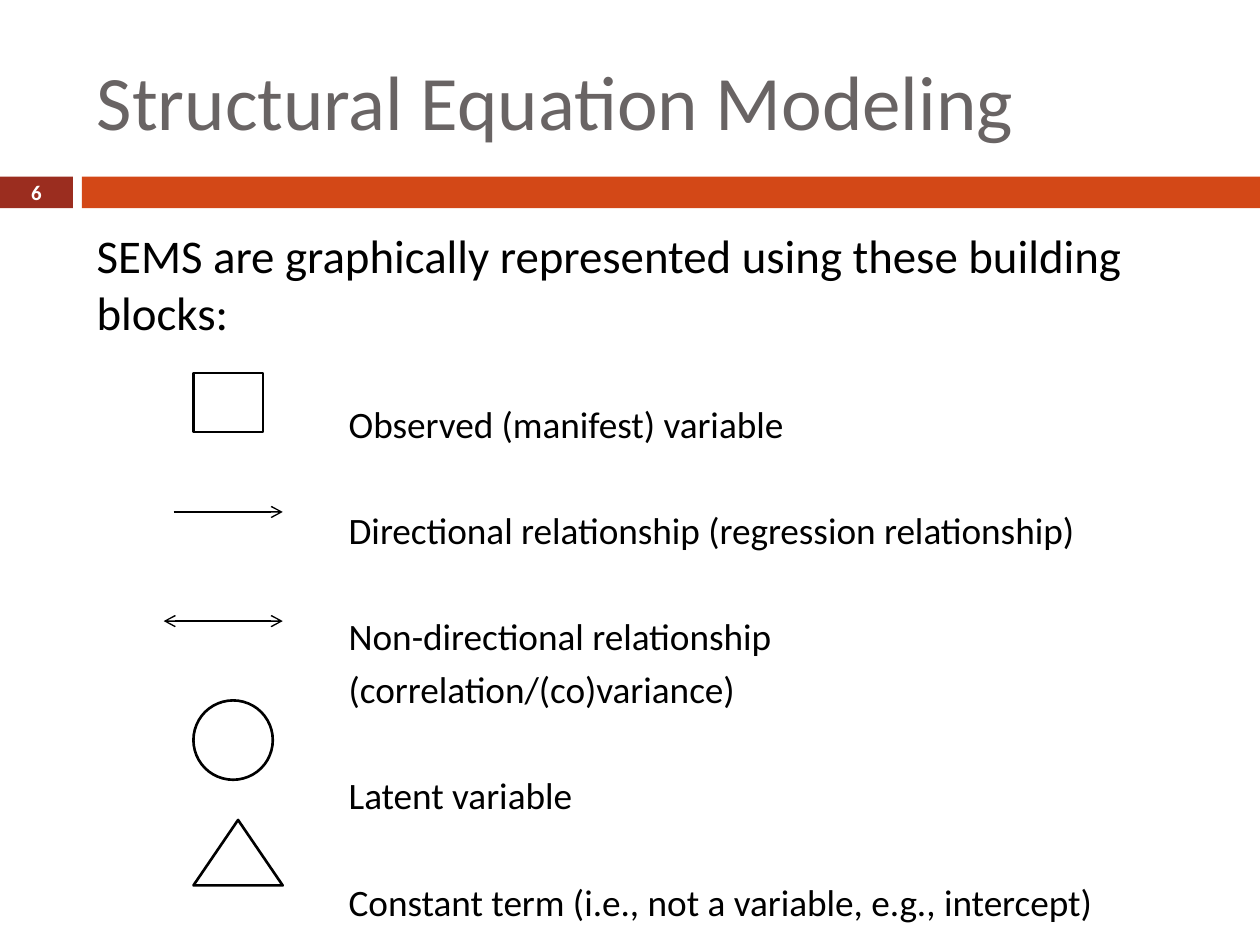
from lxml.etree import SubElement
from pptx import Presentation
from pptx.dml.color import RGBColor
from pptx.enum.shapes import MSO_CONNECTOR, MSO_SHAPE
from pptx.enum.text import MSO_ANCHOR, PP_ALIGN
from pptx.oxml.ns import qn
from pptx.util import Cm, Pt

BLACK, WHITE = "000000", "FFFFFF"
LABEL_INDENT = Cm(5.08)
ENTRY_GAP, LINE_GAP = 35.2, 4.6

LABELS = [
    ("Observed (manifest) variable", ENTRY_GAP),
    ("Directional relationship (regression relationship)", ENTRY_GAP),
    ("Non-directional relationship", ENTRY_GAP),
    ("(correlation/(co)variance)", LINE_GAP),
    ("Latent variable", ENTRY_GAP),
    ("Constant term (i.e., not a variable, e.g., intercept)", ENTRY_GAP),
]
SYMBOLS = [
    (MSO_SHAPE.RECTANGLE, 7.52, 1.4, 1.19),
    (MSO_SHAPE.OVAL, 14.12, 1.6, 1.6),
    (MSO_SHAPE.ISOSCELES_TRIANGLE, 16.53, 1.8, 1.32),
]
ARROWS = [
    (3.5, 10.32, ("tailEnd",)),
    (3.3, 12.52, ("headEnd", "tailEnd")),
]


def color(hex_string):
    return RGBColor.from_string(hex_string)


def apply_format(target, values):
    for name, value in values.items():
        setattr(target, name, value)


def add_box(slide, kind, left, top, width, height, fill, outline=None):
    shape = slide.shapes.add_shape(kind, Cm(left), Cm(top), Cm(width), Cm(height))
    shape.shadow.inherit = False
    shape.fill.solid()
    shape.fill.fore_color.rgb = color(fill)
    if outline:
        shape.line.color.rgb = color(outline)
        shape.line.width = Pt(1.5)
    else:
        shape.line.fill.background()


def add_arrow(slide, left, right, y, ends):
    """Draw a horizontal line with open arrowheads at the named ends."""
    connector = slide.shapes.add_connector(
        MSO_CONNECTOR.STRAIGHT, Cm(left), Cm(y), Cm(right), Cm(y))
    connector.line.color.rgb = color(BLACK)
    connector.line.width = Pt(0.79)
    line = connector.line._get_or_add_ln()
    for end in ends:
        SubElement(line, qn(f"a:{end}"), type="arrow")
    SubElement(connector._element.spPr, qn("a:effectLst"))


def add_text_frame(slide, left, top, width, height, anchor=MSO_ANCHOR.TOP):
    text_box = slide.shapes.add_textbox(Cm(left), Cm(top), Cm(width), Cm(height))
    apply_format(text_box.text_frame, {"word_wrap": True, "vertical_anchor": anchor})
    return text_box.text_frame


def write(paragraph, text, size, text_color, bold=False, **paragraph_format):
    run = paragraph.add_run()
    run.text = text
    apply_format(run.font, {"name": "Calibri", "size": Pt(size), "bold": bold})
    run.font.color.rgb = color(text_color)
    apply_format(paragraph, paragraph_format)


def add_header(slide):
    title = add_text_frame(slide, 1.7, 0.64, 22.66, 2.74, MSO_ANCHOR.MIDDLE)
    write(title.paragraphs[0], "Structural Equation Modeling", 44, "696464")
    add_box(slide, MSO_SHAPE.RECTANGLE, 0, 3.56, 1.47, 0.64, "9B2D1F")
    add_box(slide, MSO_SHAPE.RECTANGLE, 1.65, 3.56, 23.75, 0.64, "D34817")
    number = add_text_frame(slide, 0, 3.53, 1.47, 0.69, MSO_ANCHOR.MIDDLE)
    write(number.paragraphs[0], "6", 11.9, WHITE, bold=True, alignment=PP_ALIGN.CENTER)


def add_body(slide):
    body = add_text_frame(slide, 1.7, 4.45, 22.66, 13.49)
    write(body.paragraphs[0],
          "SEMS are graphically represented using these building blocks:", 26.8, BLACK)
    for label, gap in LABELS:
        paragraph = body.add_paragraph()
        write(paragraph, label, 21.3, BLACK, space_before=Pt(gap))
        paragraph._p.get_or_add_pPr().set("marL", str(LABEL_INDENT))


def main():
    presentation = Presentation()
    apply_format(presentation, {"slide_width": Cm(25.4), "slide_height": Cm(19.05)})
    slide = presentation.slides.add_slide(presentation.slide_layouts[6])
    add_header(slide)
    add_body(slide)
    for kind, top, width, height in SYMBOLS:
        add_box(slide, kind, 3.9, top, width, height, WHITE, BLACK)
    for left, y, ends in ARROWS:
        add_arrow(slide, left, 5.7, y, ends)
    presentation.save("out.pptx")


if __name__ == "__main__":
    main()
